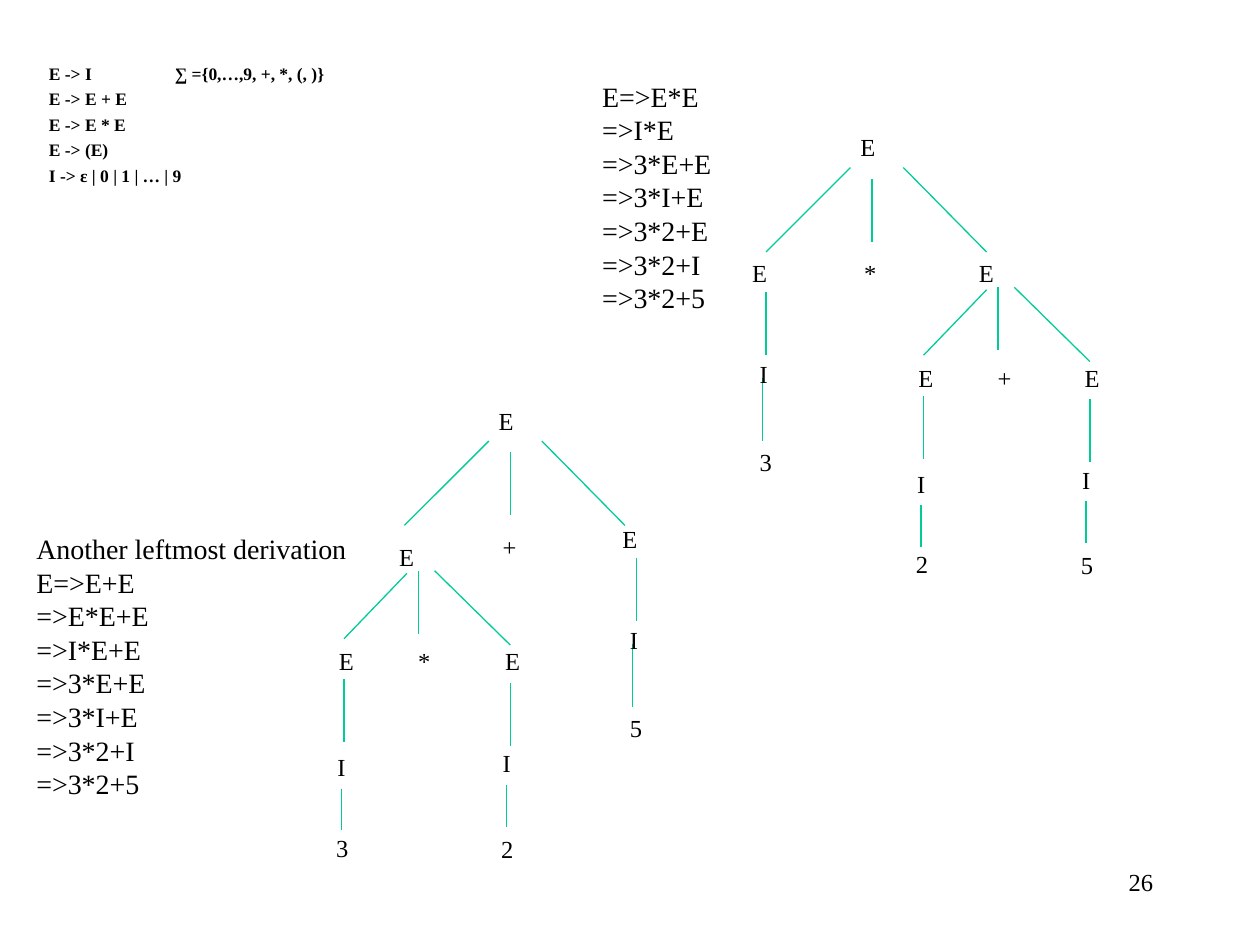
import pptx
import pptx.dml.color
import pptx.enum.shapes
import pptx.enum.text
import pptx.oxml.ns
import pptx.util
from dataclasses import dataclass
from lxml import etree
from pptx.util import Inches

BLACK = pptx.dml.color.RGBColor(0x00, 0x00, 0x00)
GREEN = pptx.dml.color.RGBColor(0x00, 0xCC, 0x98)
ALIGN = pptx.enum.text.PP_ALIGN
SIZING = pptx.enum.text.MSO_AUTO_SIZE
WIDTHS = {"E": 0.32, "I": 0.26, "+": 0.31}


@dataclass
class Block:
    left: float
    top: float
    width: float
    height: float
    lines: list[str]
    size: int = 16
    bold: bool = False
    wrap: bool = False
    align: ALIGN = ALIGN.LEFT
    before: float = 0
    tab: float = 0


@dataclass
class Part:
    """Piece of a tree: marks (text, x, y) and edges (x1, y1, x2, y2)."""
    marks: list[tuple[str, float, float]]
    edges: list[tuple[float, float, float, float]]


def add_tab(para, stop: float) -> None:
    tabs = etree.SubElement(para._p.get_or_add_pPr(),
                            pptx.oxml.ns.qn("a:tabLst"))
    etree.SubElement(tabs, pptx.oxml.ns.qn("a:tab"),
                     pos=str(int(Inches(stop))), algn="l")


def add_block(slide, block: Block) -> None:
    box = slide.shapes.add_textbox(Inches(block.left), Inches(block.top),
                                   Inches(block.width), Inches(block.height))
    frame = box.text_frame
    frame.word_wrap = block.wrap
    frame.auto_size = SIZING.NONE if block.wrap else SIZING.SHAPE_TO_FIT_TEXT
    style = {"name": "Times New Roman", "size": pptx.util.Pt(block.size),
             "bold": block.bold}
    for num, line in enumerate(block.lines):
        para = frame.add_paragraph() if num else frame.paragraphs[0]
        para.alignment = block.align
        para.space_before = pptx.util.Pt(block.before)
        if block.tab:
            add_tab(para, block.tab)
        run = para.add_run()
        run.text = line
        for key, value in style.items():
            setattr(run.font, key, value)
        run.font.color.rgb = BLACK


def add_edge(slide, x1: float, y1: float, x2: float, y2: float) -> None:
    edge = slide.shapes.add_connector(
        pptx.enum.shapes.MSO_CONNECTOR.STRAIGHT,
        Inches(x1), Inches(y1), Inches(x2), Inches(y2))
    edge.line.color.rgb = GREEN
    edge.line.width = pptx.util.Pt(0.75)
    etree.SubElement(edge._element.spPr, pptx.oxml.ns.qn("a:effectLst"))


def add_part(slide, part: Part, left: float, top: float) -> None:
    for x1, y1, x2, y2 in part.edges:
        add_edge(slide, left + x1, top + y1, left + x2, top + y2)
    for text, x, y in part.marks:
        add_block(slide, Block(left + x, top + y, WIDTHS.get(text, 0.3), 0.34,
                               [text], size=14))


# Tree parts, measured from the top left of their upper E
def root(sign: str) -> Part:
    return Part([("E", 0, 0), (sign, 0.03, 1)],
                [(0.02, 0.33, -0.65, 1), (0.44, 0.33, 1.1, 1),
                 (0.19, 0.42, 0.19, 0.92)])


def chain(digit: str) -> Part:
    return Part([("E", 0, 0), ("I", 0.06, 0.8), (digit, 0.06, 1.5)],
                [(0.21, 0.32, 0.21, 0.82), (0.18, 1, 0.18, 1.5)])


def fork(first: str, sign: str, second: str) -> Part:
    return Part([("E", 0, 0), ("E", -0.48, 0.83), (sign, 0.15, 0.83),
                 ("E", 0.84, 0.83), ("I", -0.49, 1.67), ("I", 0.82, 1.64),
                 (first, -0.5, 2.31), (second, 0.81, 2.32)],
                [(0.16, 0.3, -0.34, 0.82), (0.25, 0.28, 0.25, 0.78),
                 (0.38, 0.28, 0.98, 0.87), (-0.34, 1.14, -0.34, 1.64),
                 (-0.36, 2.01, -0.36, 2.34), (0.98, 1.17, 0.98, 1.67),
                 (0.95, 1.98, 0.95, 2.31)])


BLOCKS = [
    # Grammar
    Block(0.29, 0.45, 2.58, 1.25,
          ["E -> I\t∑ ={0,…,9, +, *, (, )}", "E -> E + E", "E -> E * E",
           "E -> (E)", "I -> ε | 0 | 1 | … | 9"],
          size=10, bold=True, wrap=True, before=2.5, tab=1),
    # Page number
    Block(7.17, 6.83, 2.08, 0.5, ["26"], size=14, wrap=True,
          align=ALIGN.RIGHT),
    # Derivations
    Block(4.68, 0.58, 1.08, 1.97,
          ["E=>E*E", "=>I*E", "=>3*E+E", "=>3*I+E", "=>3*2+E", "=>3*2+I",
           "=>3*2+5"]),
    Block(0.19, 4.17, 2.66, 2.24,
          ["Another leftmost derivation", "E=>E+E", "=>E*E+E", "=>I*E+E",
           "=>3*E+E", "=>3*I+E", "=>3*2+I", "=>3*2+5"]),
]

# Each part with its place
TREES = [
    (root("*"), 6.73, 1), (chain("3"), 5.87, 2), (fork("2", "+", "5"), 7.67, 2),
    (root("+"), 3.86, 3.17), (chain("5"), 4.84, 4.11),
    (fork("3", "*", "2"), 3.07, 4.25),
]


def main() -> None:
    deck = pptx.Presentation()
    deck.slide_width, deck.slide_height = Inches(10), Inches(7.5)
    slide = deck.slides.add_slide(deck.slide_layouts[6])
    for block in BLOCKS:
        add_block(slide, block)
    for part, left, top in TREES:
        add_part(slide, part, left, top)
    deck.save("out.pptx")


if __name__ == "__main__":
    main()
